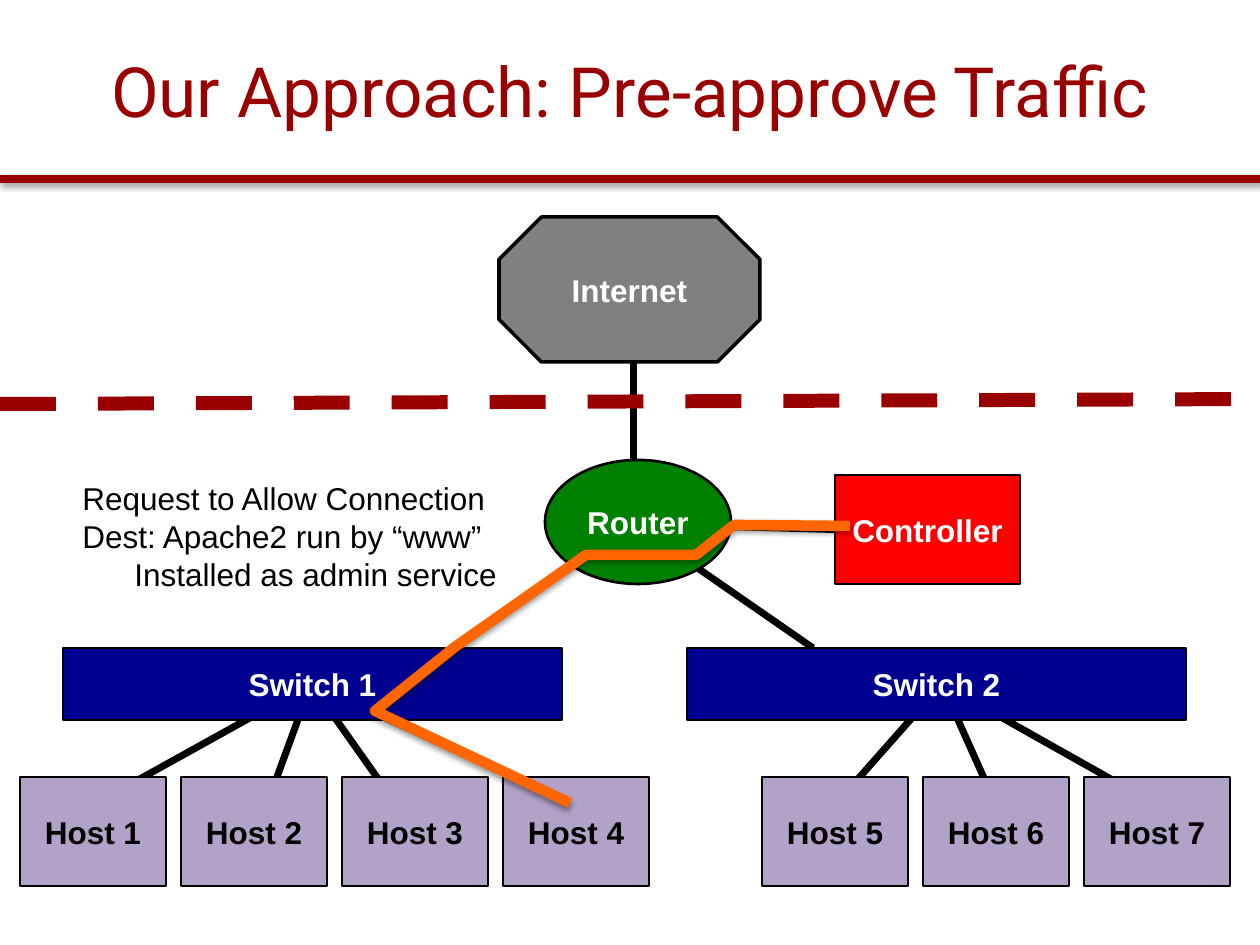
from lxml.etree import SubElement
from pptx import Presentation
from pptx.dml.color import RGBColor
from pptx.enum.dml import MSO_LINE
from pptx.enum.shapes import MSO_CONNECTOR, MSO_SHAPE
from pptx.enum.text import MSO_ANCHOR, MSO_AUTO_SIZE, PP_ALIGN
from pptx.oxml.ns import qn
from pptx.util import Pt

EMU_PER_PX = 914400 / 126
DARK_RED, BLACK, WHITE = "990000", "000000", "FFFFFF"


def px(length):
    return round(length * EMU_PER_PX)


def rgb(color):
    return RGBColor.from_string(color)


def style_font(paragraph, size, color, name="Arial", bold=False):
    font = paragraph.font
    font.size, font.name, font.bold = Pt(size), name, bold
    font.color.rgb = rgb(color)


def style_line(line, color, width):
    line.color.rgb = rgb(color)
    line.width = Pt(width)


def set_effects(shape, shadow):
    """Give the shape a soft drop shadow, or none at all."""
    effects = SubElement(shape._element.spPr, qn("a:effectLst"))
    if shadow:
        outer = SubElement(effects, qn("a:outerShdw"), blurRad=str(Pt(3.1)),
                           dist=str(Pt(1.6)), dir="5400000", rotWithShape="0")
        black = SubElement(outer, qn("a:srgbClr"), val=BLACK)
        SubElement(black, qn("a:alpha"), val="38000")


def add_link(slide, start, end, color=BLACK, width=4, shadow=False):
    link = slide.shapes.add_connector(
        MSO_CONNECTOR.STRAIGHT, *(px(value) for value in (*start, *end)))
    style_line(link.line, color, width)
    set_effects(link, shadow)
    return link


def add_node(slide, box, label, fill, text_color=WHITE,
             outline=MSO_SHAPE.RECTANGLE, border=1.5):
    node = slide.shapes.add_shape(outline, *(px(value) for value in box))
    node.shadow.inherit = False
    node.fill.solid()
    node.fill.fore_color.rgb = rgb(fill)
    style_line(node.line, BLACK, border)
    frame = node.text_frame
    frame.text = label
    frame.word_wrap = True
    frame.vertical_anchor = MSO_ANCHOR.MIDDLE
    paragraph = frame.paragraphs[0]
    paragraph.alignment = PP_ALIGN.CENTER
    style_font(paragraph, 18, text_color, bold=True)
    return node


def add_header(slide, left, top, width, height):
    title = slide.shapes.title
    title.left, title.top = px(left), px(top)
    title.width, title.height = px(width), px(height)
    frame = title.text_frame
    frame.text = "Our Approach: Pre-approve Traffic"
    frame.vertical_anchor = MSO_ANCHOR.MIDDLE
    frame.auto_size = MSO_AUTO_SIZE.NONE
    frame.paragraphs[0].alignment = PP_ALIGN.CENTER
    style_font(frame.paragraphs[0], 39.6, DARK_RED, "Roboto")
    add_link(slide, (0, 179), (1260, 179), DARK_RED, 5, shadow=True)


def add_core(slide, left, top):
    """Internet, router and controller, with the router's links."""
    hub = (left + 135, top + 307)
    for end in ((left + 314, top + 431), (left - 59, top + 439),
                (left + 135, top + 79)):
        add_link(slide, hub, end)
    controller_link = add_link(slide, hub, (left + 336, top + 313))
    add_node(slide, (left + 46, top + 243, 186, 124), "Router", "008000",
             outline=MSO_SHAPE.OVAL)
    controller = add_node(slide, (left + 336, top + 258, 185, 109),
                          "Controller", "FF0000")
    controller_link.end_connect(controller, 1)
    boundary = add_link(slide, (0, top + 187), (1260, top + 182), DARK_RED, 8)
    boundary.line.dash_style = MSO_LINE.DASH
    add_node(slide, (left, top, 261, 145), "Internet", "808080",
             outline=MSO_SHAPE.OCTAGON, border=2)


def add_subnet(slide, left, top, label, hub_x, hosts_left, first_host, link_ends):
    """A switch with a row of hosts below it, one for each link end."""
    host_width, host_pitch, host_top = 146, 161, top + 129
    host_lefts = [hosts_left + i * host_pitch for i in range(len(link_ends))]
    for host_left, link_end in zip(host_lefts, link_ends):
        add_link(slide, (host_left + host_width / 2, host_top + link_end),
                 (hub_x, top + 36))
    for number, host_left in enumerate(host_lefts, first_host):
        add_node(slide, (host_left, host_top, host_width, 109),
                 f"Host {number}", "B3A2C7", BLACK)
    add_node(slide, (left, top, 499, 72), label, "000090")


def add_request_route(slide, left, top):
    """The route from Host 4 through the switch and router to the controller."""
    stops = [(195, 278), (0, 186), (80, 122), (211, 30), (321, 30), (359, 0),
             (475, 1)]
    start, *rest = [(px(left + x), px(top + y)) for x, y in stops]
    builder = slide.shapes.build_freeform(*start)
    builder.add_line_segments(rest, close=False)
    route = builder.convert_to_shape()
    route.fill.background()
    style_line(route.line, "FF6600", 6)
    set_effects(route, shadow=True)


def add_request_note(slide, left, top, width, height):
    note = slide.shapes.add_textbox(px(left), px(top), px(width), px(height))
    frame = note.text_frame
    frame.word_wrap = False
    frame.auto_size = MSO_AUTO_SIZE.SHAPE_TO_FIT_TEXT
    frame.text = ("Request to Allow Connection\n"
                  "Dest: Apache2 run by “www”\n"
                  "Installed as admin service")
    for paragraph in frame.paragraphs:
        style_font(paragraph, 18, BLACK)
    frame.paragraphs[-1]._p.get_or_add_pPr().set("marL", str(px(52)))


def main():
    presentation = Presentation()
    presentation.slide_width, presentation.slide_height = px(1260), px(945)
    slide = presentation.slides.add_slide(presentation.slide_layouts[5])
    add_header(slide, 63, 11, 1134, 158)
    add_core(slide, 499, 217)
    add_subnet(slide, 63, 648, "Switch 1", 311, 20, 1, [28, 63, 54, 28])
    add_subnet(slide, 687, 648, "Switch 2", 942, 762, 5, [28, 28, 28])
    add_request_route(slide, 375, 525)
    add_request_note(slide, 70, 473, 446, 127)
    presentation.save("out.pptx")


if __name__ == "__main__":
    main()
